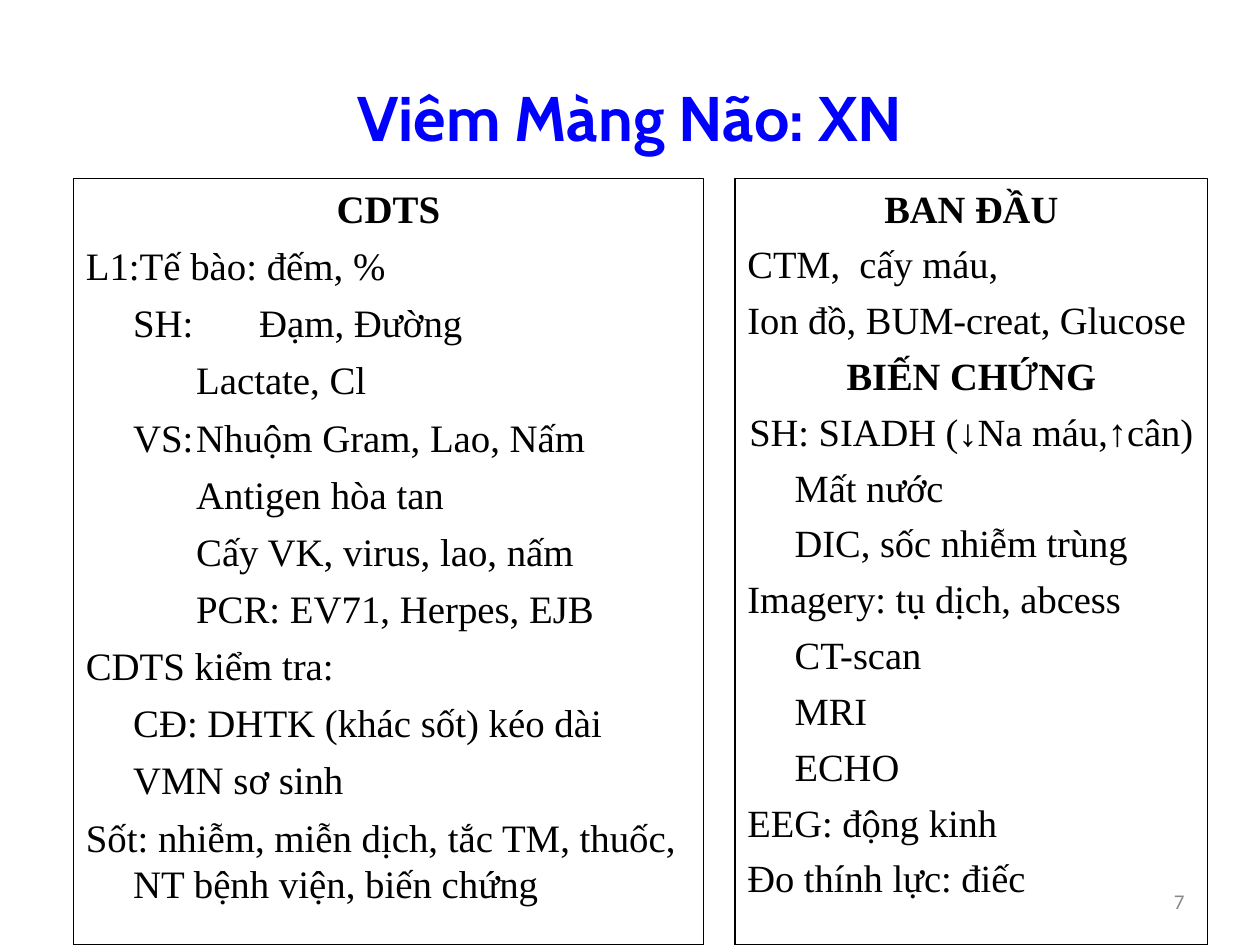
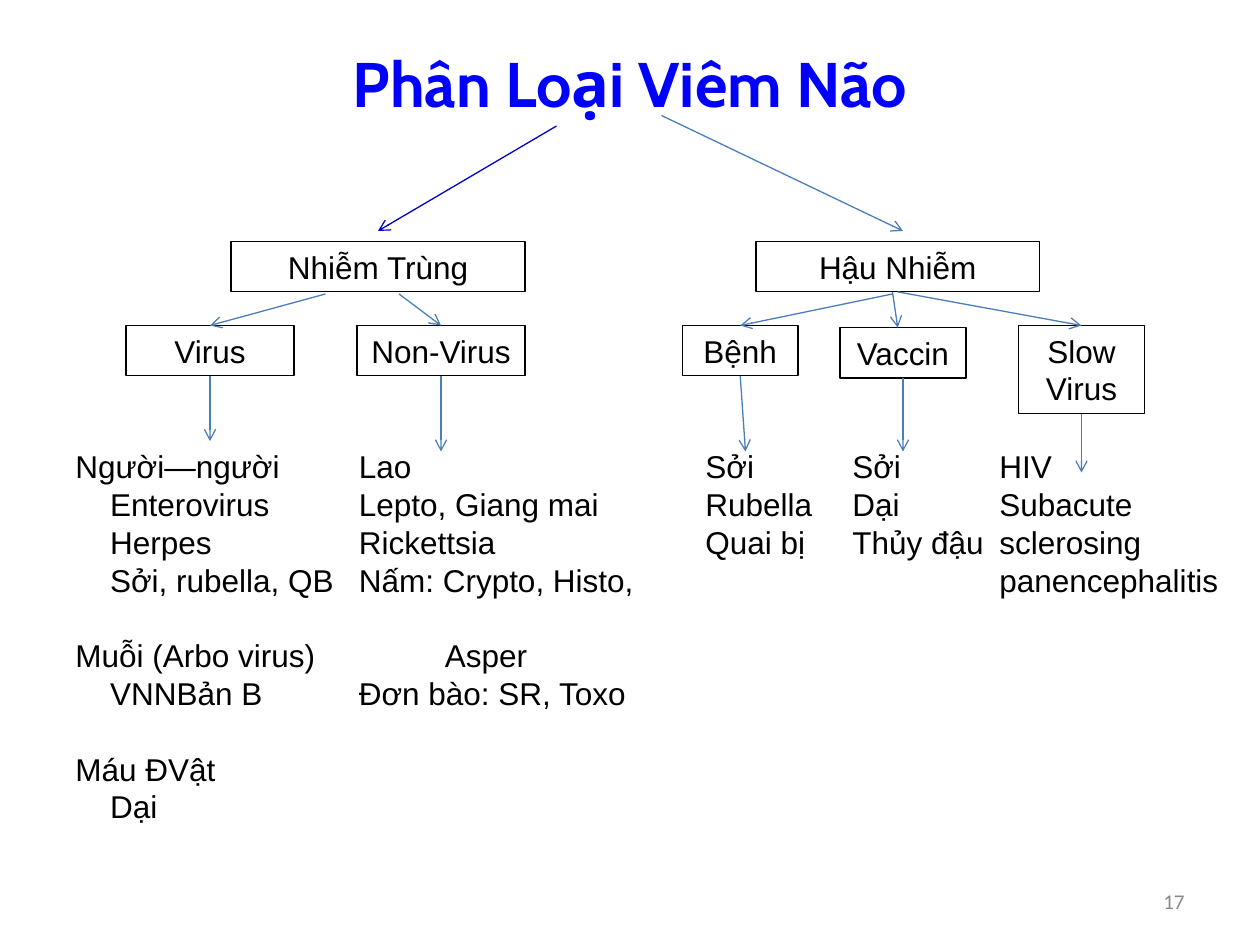
"""Build two slides on meningitis tests and the classes of encephalitis."""
from collections import namedtuple

from lxml.etree import SubElement
from pptx import Presentation
from pptx.dml.color import RGBColor
from pptx.enum.shapes import MSO_CONNECTOR as Link, MSO_SHAPE as Preset
from pptx.enum.text import MSO_ANCHOR as Anchor, PP_ALIGN as Align
from pptx.oxml.ns import qn
from pptx.util import Emu, Pt

PX = 7620
TOP, BOTTOM = 0, 2
Font = namedtuple("Font", "name size color bold", defaults=("000000", False))
Row = namedtuple("Row", "text align bold indent gap",
                 defaults=(Align.LEFT, False, 0, 0))


def px(length):
    return Emu(length * PX)


def rgb(code):
    return RGBColor.from_string(code)


def heading(text):
    return Row(text, Align.CENTER, True)


class Deck:
    """Holds the shared style and the page being drawn."""

    TITLE = Font("Cabin", 36, "0000FF", True)
    NUMBER = Font("Calibri", 12, "898989")
    LABEL = Font("Arial", 18)
    INK = "000000"
    ARROW = "4A7EBB"
    TITLE_ARROW = "0000CC"
    HANG = 45
    LINE_GAP = 21.6

    def __init__(self):
        self.show = Presentation()
        self.show.slide_width, self.show.slide_height = px(1200), px(900)
        self.page = None

    def add_page(self, title, title_height, number):
        self.page = self.show.slides.add_slide(self.show.slide_layouts[6])
        self.text((60, 36, 1080, title_height), [Row(title, Align.CENTER)],
                  self.TITLE, Anchor.MIDDLE)
        self.text((860, 834, 280, 48), [Row(number, Align.RIGHT)],
                  self.NUMBER, Anchor.MIDDLE)

    def put_rows(self, box, rows, font, anchor=Anchor.TOP, before=0, hang=0):
        frame = box.text_frame
        frame.word_wrap = True
        frame.vertical_anchor = anchor
        for index, row in enumerate(rows):
            para = frame.add_paragraph() if index else frame.paragraphs[0]
            para.alignment = row.align
            para.space_before = Pt(row.gap or before)
            props = para._p.get_or_add_pPr()
            props.set("marL", str(px(row.indent + hang)))
            props.set("indent", str(px(-hang)))
            if hang:
                stops = SubElement(props, qn("a:tabLst"))
                for inch in range(8):
                    SubElement(stops, qn("a:tab"), pos=str(px(inch * 120)), algn="l")
            span = para.add_run()
            span.text = row.text
            span.font.name = font.name
            span.font.size = Pt(font.size)
            span.font.bold = font.bold or row.bold
            span.font.color.rgb = rgb(font.color)

    def text(self, area, rows, font=LABEL, anchor=Anchor.TOP):
        box = self.page.shapes.add_textbox(*map(px, area))
        self.put_rows(box, rows, font, anchor)

    def frame(self, area):
        box = self.page.shapes.add_shape(Preset.RECTANGLE, *map(px, area))
        box.shadow.inherit = False
        box.fill.background()
        box.line.color.rgb = rgb(self.INK)
        box.line.width = Pt(0.75)
        return box

    def panel(self, area, rows, size, before):
        self.put_rows(self.frame(area), rows, Font("Times New Roman", size),
                      before=before, hang=self.HANG)

    def label(self, area, text):
        box = self.frame(area)
        self.put_rows(box, [Row(text, Align.CENTER)], self.LABEL)
        return box

    def arrow(self, start, end, source=None, target=None, color=ARROW):
        link = self.page.shapes.add_connector(
            Link.STRAIGHT, *map(px, start + end))
        if source:
            link.begin_connect(source, BOTTOM)
        if target:
            link.end_connect(target, TOP)
        link.line.color.rgb = rgb(color)
        link.line.width = Pt(0.75)
        props = link._element.spPr
        SubElement(props.find(qn("a:ln")), qn("a:tailEnd"), type="arrow")
        SubElement(props, qn("a:effectLst"))


def tests_page(deck):
    deck.add_page("Viêm Màng Não: XN", 150, "7")
    fluid = [
        heading("CDTS"),
        Row("L1:Tế bào: đếm, %"),
        Row("\tSH: \tĐạm, Đường"),
        Row("\t\tLactate, Cl"),
        Row("\tVS:\tNhuộm Gram, Lao, Nấm"),
        Row("\t\tAntigen hòa tan"),
        Row("\t\tCấy VK, virus, lao, nấm"),
        Row("\t\tPCR: EV71, Herpes, EJB"),
        Row("CDTS kiểm tra:"),
        Row("\tCĐ: DHTK (khác sốt) kéo dài"),
        Row("\tVMN sơ sinh"),
        Row("Sốt: nhiễm, miễn dịch, tắc TM, thuốc, NT bệnh viện, biến chứng"),
    ]
    others = [
        heading("BAN ĐẦU"),
        Row("CTM,  cấy máu,"),
        Row("Ion đồ, BUM-creat, Glucose"),
        heading("BIẾN CHỨNG"),
        Row("SH: SIADH (↓Na máu,↑cân)", Align.CENTER),
        Row("\tMất nước"),
        Row("\tDIC, sốc nhiễm trùng"),
        Row("Imagery: tụ dịch, abcess"),
        Row("\tCT-scan"),
        Row("\tMRI"),
        Row("\tECHO"),
        Row("EEG: động kinh"),
        Row("Đo thính lực: điếc"),
    ]
    deck.panel((70, 170, 600, 730), fluid, 22.2, 6)
    deck.panel((700, 170, 450, 730), others, 22, 5.5)


def classes_page(deck):
    deck.add_page("Phân Loại Viêm Não", 84, "17")
    deck.label((220, 230, 280, 48), "Nhiễm Trùng")
    after = deck.label((720, 230, 270, 48), "Hậu Nhiễm")
    virus = deck.label((120, 310, 160, 48), "Virus")
    non_virus = deck.label((340, 310, 160, 48), "Non-Virus")
    disease = deck.label((650, 310, 110, 48), "Bệnh")
    vaccine = deck.label((800, 312, 120, 48), "Vaccin")
    slow = deck.label((970, 310, 120, 84), "Slow Virus")

    def sub(text):
        return Row(text, indent=33)

    def group(text):
        return Row(text, gap=deck.LINE_GAP)

    columns = [
        (60, 280, 372, [
            Row("Người—người"), sub("Enterovirus"), sub("Herpes"),
            sub("Sởi, rubella, QB"), group("Muỗi (Arbo virus)"),
            sub("VNNBản B"), group("Máu ĐVật"), sub("Dại")]),
        (330, 300, 264, [
            Row("Lao"), Row("Lepto, Giang mai"), Row("Rickettsia"),
            Row("Nấm: Crypto, Histo,"),
            Row("Asper", indent=82, gap=deck.LINE_GAP),
            Row("Đơn bào: SR, Toxo")]),
        (660, 160, 120, [Row("Sởi"), Row("Rubella"), Row("Quai bị")]),
        (800, 160, 120, [Row("Sởi"), Row("Dại"), Row("Thủy đậu")]),
        (940, 240, 156, [
            Row("HIV"), Row("Subacute sclerosing panencephalitis")]),
    ]
    for left, width, height, rows in columns:
        deck.text((left, 420, width, height), rows)

    deck.arrow((530, 120), (360, 220), color=deck.TITLE_ARROW)
    deck.arrow((630, 110), (860, 220))
    deck.arrow((310, 280), (200, 310), target=virus)
    deck.arrow((380, 280), (420, 310), target=non_virus)
    deck.arrow((855, 278), (1030, 310), after, slow)
    deck.arrow((850, 280), (705, 310), target=disease)
    deck.arrow((850, 278), (855, 312))
    for box, start, end in [
            (virus, (200, 358), (200, 420)),
            (non_virus, (420, 358), (420, 430)),
            (disease, (705, 358), (710, 430)),
            (vaccine, (860, 360), (860, 430)),
            (slow, (1030, 394), (1030, 450))]:
        deck.arrow(start, end, box)


def main():
    deck = Deck()
    tests_page(deck)
    classes_page(deck)
    deck.show.save("out.pptx")


if __name__ == "__main__":
    main()
